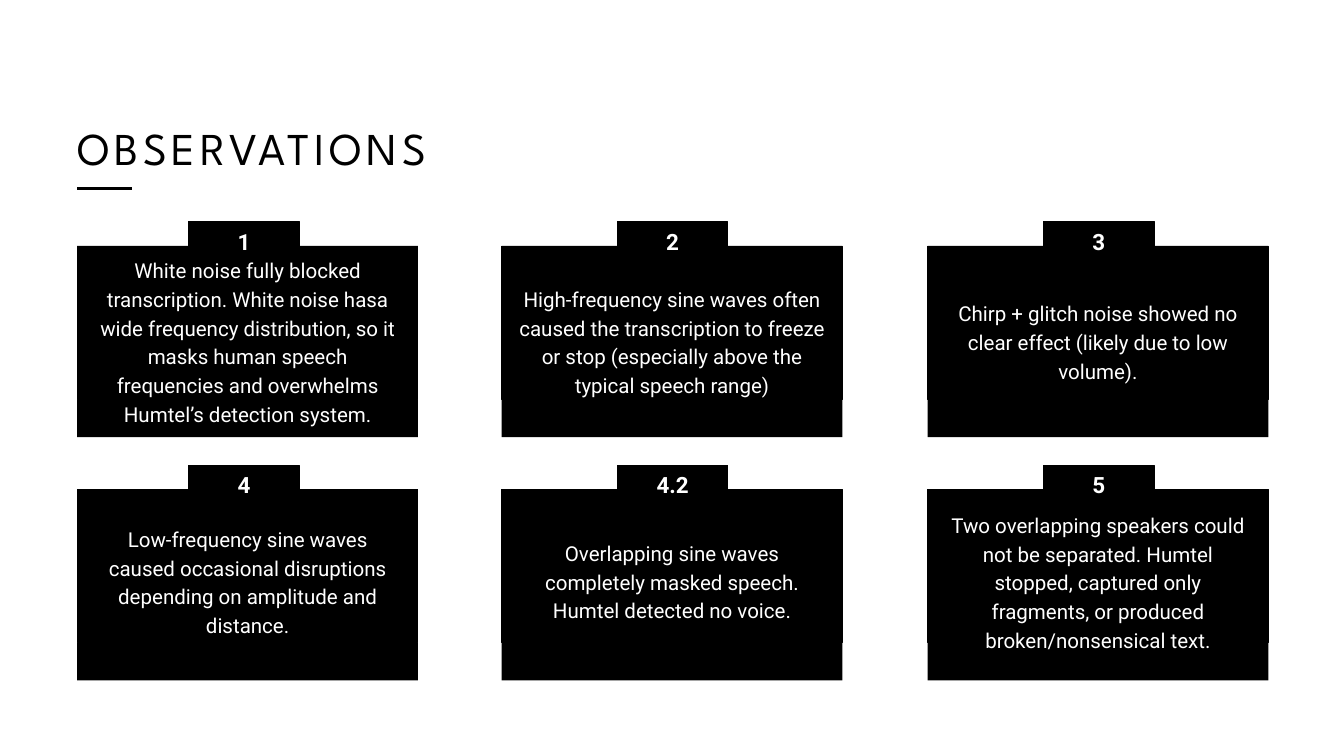
from dataclasses import dataclass

from pptx import Presentation
from pptx.dml.color import RGBColor
from pptx.enum.shapes import MSO_CONNECTOR, MSO_SHAPE
from pptx.enum.text import MSO_ANCHOR, MSO_AUTO_SIZE, PP_ALIGN
from pptx.oxml.ns import qn
from pptx.slide import Slide
from pptx.text.text import TextFrame
from pptx.util import Cm, Pt
from lxml.etree import SubElement


@dataclass(frozen=True)
class TextStyle:
    font: str
    size: float
    line_spacing: float
    color: RGBColor
    align: PP_ALIGN = PP_ALIGN.CENTER
    bold: bool = False


@dataclass(frozen=True)
class Theme:
    black: RGBColor = RGBColor(0, 0, 0)
    white: RGBColor = RGBColor(255, 255, 255)
    title: TextStyle = TextStyle("League Spartan", 48.8, 60.9, black, PP_ALIGN.LEFT)
    body: TextStyle = TextStyle("Roboto", 22, 30.8, white)
    number: TextStyle = TextStyle("Roboto", 24, 33.6, white, bold=True)
    title_tracking: str = "490"


@dataclass(frozen=True)
class Box:
    left: float
    top: float
    width: float
    height: float

    def lengths(self) -> tuple[Cm, Cm, Cm, Cm]:
        return Cm(self.left), Cm(self.top), Cm(self.width), Cm(self.height)


@dataclass(frozen=True)
class Observation:
    number: str
    text: str
    text_top: float
    lines: int


THEME = Theme()
COLUMNS = (2.92, 18.96, 35.06)
TAB_LEFTS = (7.14, 23.34, 39.45)
ROWS = (9.3, 18.49)
CARD_WIDTH, BODY_HEIGHT, BASE_HEIGHT = 12.88, 5.81, 1.42
TAB_WIDTH, TAB_HEIGHT, TAB_FOOT, TAB_RISE = 4.17, 1.07, 0.25, 0.91
TEXT_WIDTH, NUMBER_WIDTH = 11.66, 2.46
LINE_HEIGHT = 1.09

OBSERVATIONS = (
    Observation("1", "White noise fully blocked transcription. White noise hasa wide "
                "frequency distribution, so it masks human speech frequencies and "
                "overwhelms Humtel’s detection system.", 9.6, 7),
    Observation("2", "High-frequency sine waves often caused the transcription to freeze "
                "or stop (especially above the typical speech range)", 10.69, 4),
    Observation("3", "Chirp + glitch noise showed no clear effect (likely due to low "
                "volume).", 11.23, 3),
    Observation("4", "Low-frequency sine waves caused occasional disruptions depending "
                "on amplitude and distance.", 19.76, 4),
    Observation("4.2", "Overlapping sine waves completely masked speech. Humtel detected "
                "no voice.", 20.29, 3),
    Observation("5", "Two overlapping speakers could not be separated. Humtel stopped, "
                "captured only fragments, or produced broken/nonsensical text.", 19.23, 5),
)


def write_text(frame: TextFrame, text: str, style: TextStyle) -> None:
    frame.word_wrap = True
    frame.auto_size = MSO_AUTO_SIZE.NONE
    frame.vertical_anchor = MSO_ANCHOR.TOP
    frame.margin_left = frame.margin_right = frame.margin_top = frame.margin_bottom = 0
    paragraph = frame.paragraphs[0]
    paragraph.text = text
    paragraph.alignment = style.align
    paragraph.line_spacing = Pt(style.line_spacing)
    paragraph.font.name = style.font
    paragraph.font.size = Pt(style.size)
    paragraph.font.bold = style.bold
    paragraph.font.color.rgb = style.color


def add_text(slide: Slide, box: Box, text: str, style: TextStyle) -> None:
    write_text(slide.shapes.add_textbox(*box.lengths()).text_frame, text, style)


def add_block(slide: Slide, box: Box, outlined: bool = False) -> None:
    shape = slide.shapes.add_shape(MSO_SHAPE.RECTANGLE, *box.lengths())
    shape.shadow.inherit = False
    shape.fill.solid()
    shape.fill.fore_color.rgb = THEME.black
    if outlined:
        shape.line.color.rgb = THEME.black
        shape.line.width = Pt(1)
    else:
        shape.line.fill.background()


def add_title(slide: Slide) -> None:
    title = slide.shapes.title
    title.left, title.top, title.width, title.height = Box(COLUMNS[0], 4.47, 24.54, 2.11).lengths()
    write_text(title.text_frame, "OBSERVATIONS", THEME.title)
    run = title.text_frame.paragraphs[0].runs[0]
    run.font._element.set("spc", THEME.title_tracking)
    rule = slide.shapes.add_connector(
        MSO_CONNECTOR.STRAIGHT, Cm(COLUMNS[0]), Cm(7.14), Cm(4.98), Cm(7.14))
    rule.line.color.rgb = THEME.black
    rule.line.width = Pt(3)
    SubElement(rule._element.spPr, qn("a:effectLst"))


def add_observation(slide: Slide, observation: Observation, row: int, column: int) -> None:
    left, top = COLUMNS[column], ROWS[row]
    add_block(slide, Box(left, top + BODY_HEIGHT, CARD_WIDTH, BASE_HEIGHT))
    add_block(slide, Box(left, top, CARD_WIDTH, BODY_HEIGHT), outlined=True)

    tab_left, tab_top = TAB_LEFTS[column], top - TAB_RISE
    add_block(slide, Box(tab_left, tab_top + TAB_HEIGHT, TAB_WIDTH, TAB_FOOT))
    add_block(slide, Box(tab_left, tab_top, TAB_WIDTH, TAB_HEIGHT), outlined=True)

    text_left = left + (CARD_WIDTH - TEXT_WIDTH) / 2
    text_box = Box(text_left, observation.text_top, TEXT_WIDTH, observation.lines * LINE_HEIGHT)
    add_text(slide, text_box, observation.text, THEME.body)
    number_left = tab_left + (TAB_WIDTH - NUMBER_WIDTH) / 2
    number_box = Box(number_left, tab_top + 0.05, NUMBER_WIDTH, 1.12)
    add_text(slide, number_box, observation.number, THEME.number)


def main() -> None:
    """Build the observations slide and save it."""
    presentation = Presentation()
    presentation.slide_width, presentation.slide_height = Cm(50.8), Cm(28.58)
    slide = presentation.slides.add_slide(presentation.slide_layouts[5])
    slide.background.fill.solid()
    slide.background.fill.fore_color.rgb = THEME.white
    add_title(slide)
    for index, observation in enumerate(OBSERVATIONS):
        add_observation(slide, observation, *divmod(index, len(COLUMNS)))
    presentation.save("out.pptx")


if __name__ == "__main__":
    main()
